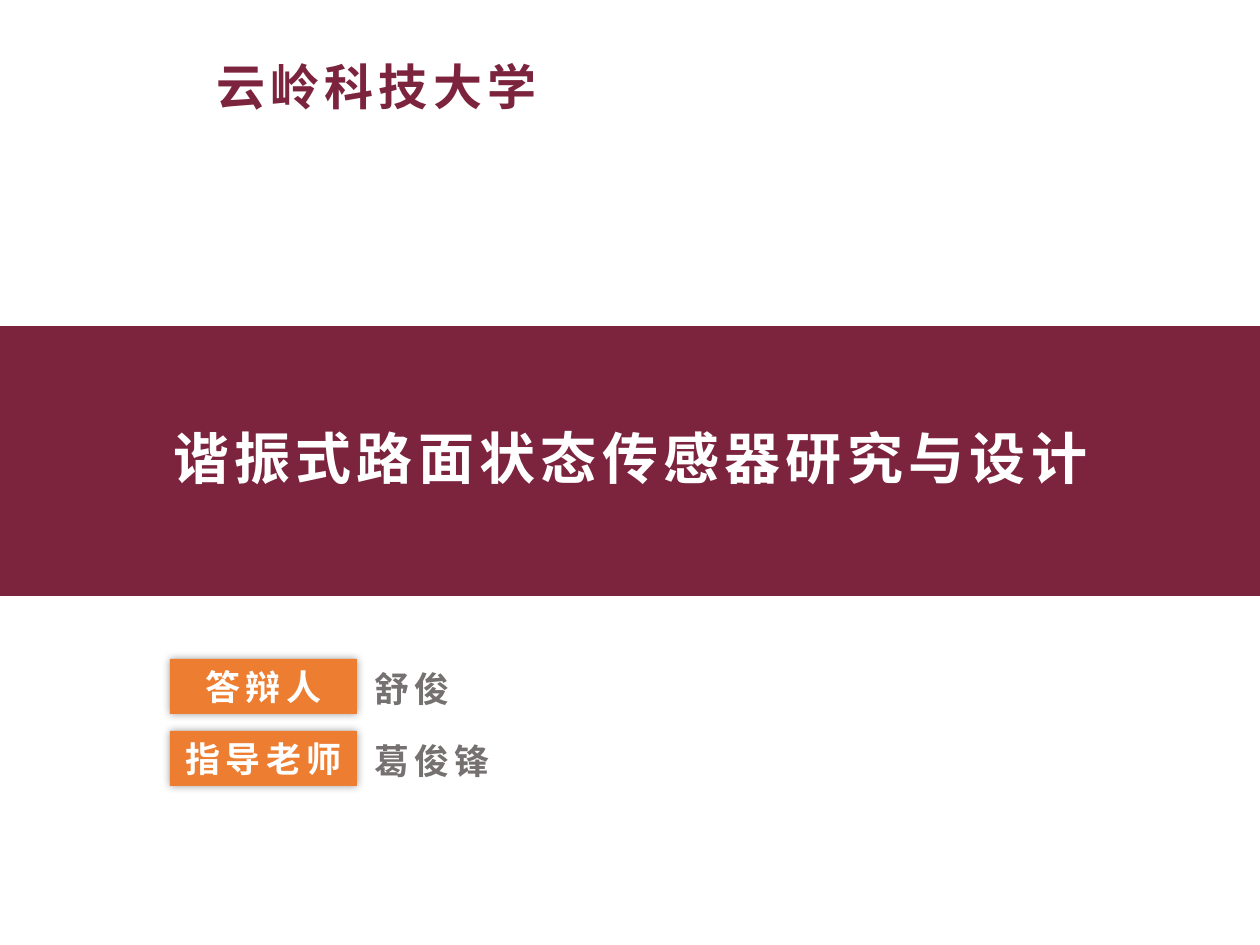
from lxml.etree import SubElement as Sub
from pptx import Presentation
from pptx.dml.color import RGBColor as RGB
from pptx.enum.shapes import MSO_SHAPE as Kind
from pptx.enum.text import MSO_ANCHOR as Anchor, PP_ALIGN as Align
from pptx.oxml.ns import qn
from pptx.util import Emu, Pt

WINE = RGB(0x7C, 0x23, 0x3E)
ORANGE = RGB(0xED, 0x7D, 0x31)
GREY = RGB(0x76, 0x71, 0x71)
WHITE = RGB(0xFF, 0xFF, 0xFF)
FONT = "Noto Sans CJK SC"

SCHOOL = "云岭科技大学"
TITLE = "谐振式路面状态传感器研究与设计"
PEOPLE = [("答辩人", "舒俊"), ("指导老师", "葛俊锋")]

PX = 914400 // 126
WIDE, HIGH = 1260, 945
TOP, STEP, ROW = 659, 72, 55


def scale(*box):
    return [Emu(n * PX) for n in box]


def write(shape, text, size, color, align=Align.LEFT):
    frame = shape.text_frame
    frame.word_wrap = True
    frame.text = text
    para = frame.paragraphs[0]
    para.alignment = align
    run = para.runs[0]
    font = run.font
    font.name, font.size, font.bold = FONT, Pt(size), True
    font.color.rgb = color
    props = run._r.get_or_add_rPr()
    props.set("spc", "300")
    Sub(props, qn("a:ea")).set("typeface", FONT)


def label(slide, box, text, size, color, align=Align.LEFT):
    write(slide.shapes.add_textbox(*scale(*box)), text, size, color, align)


def block(slide, box, fill):
    shape = slide.shapes.add_shape(Kind.RECTANGLE, *scale(*box))
    shape.shadow.inherit = False
    shape.fill.solid()
    shape.fill.fore_color.rgb = fill
    shape.line.fill.background()
    return shape


def glow(shape):
    effects = shape._element.spPr.find(qn("a:effectLst"))
    shade = Sub(effects, qn("a:outerShdw"), blurRad=str(Pt(5)), dist="0",
                dir="0", algn="ctr", rotWithShape="0")
    color = Sub(shade, qn("a:srgbClr"), val="000000")
    Sub(color, qn("a:alpha"), val="40000")


def tag(slide, box, text):
    shape = block(slide, box, ORANGE)
    glow(shape)
    write(shape, text, 20, WHITE, Align.CENTER)
    frame = shape.text_frame
    frame.margin_left = frame.margin_right = 0
    frame.vertical_anchor = Anchor.MIDDLE


def main():
    """Build the thesis defence cover slide."""
    deck = Presentation()
    deck.slide_width, deck.slide_height = scale(WIDE, HIGH)
    slide = deck.slides.add_slide(deck.slide_layouts[6])
    label(slide, (204, 50, 413, 72), SCHOOL, 28, WINE)
    block(slide, (0, 326, WIDE, 270), WINE)
    label(slide, (48, 417, 1165, 81), TITLE, 32, WHITE, Align.CENTER)
    for i, (role, name) in enumerate(PEOPLE):
        top = TOP + i * STEP
        tag(slide, (170, top, 187, ROW), role)
        label(slide, (362, top + 2, 223, ROW), name, 20, GREY)
    deck.save("out.pptx")


if __name__ == "__main__":
    main()
